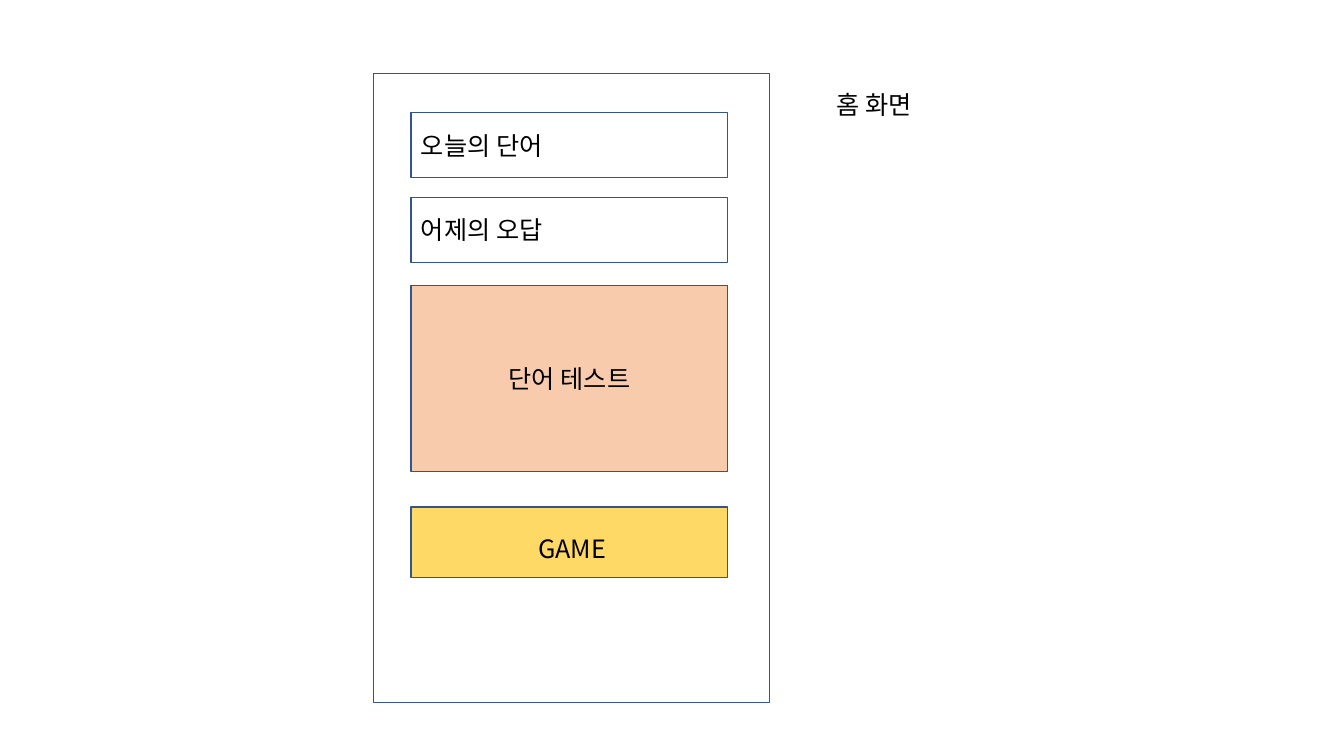
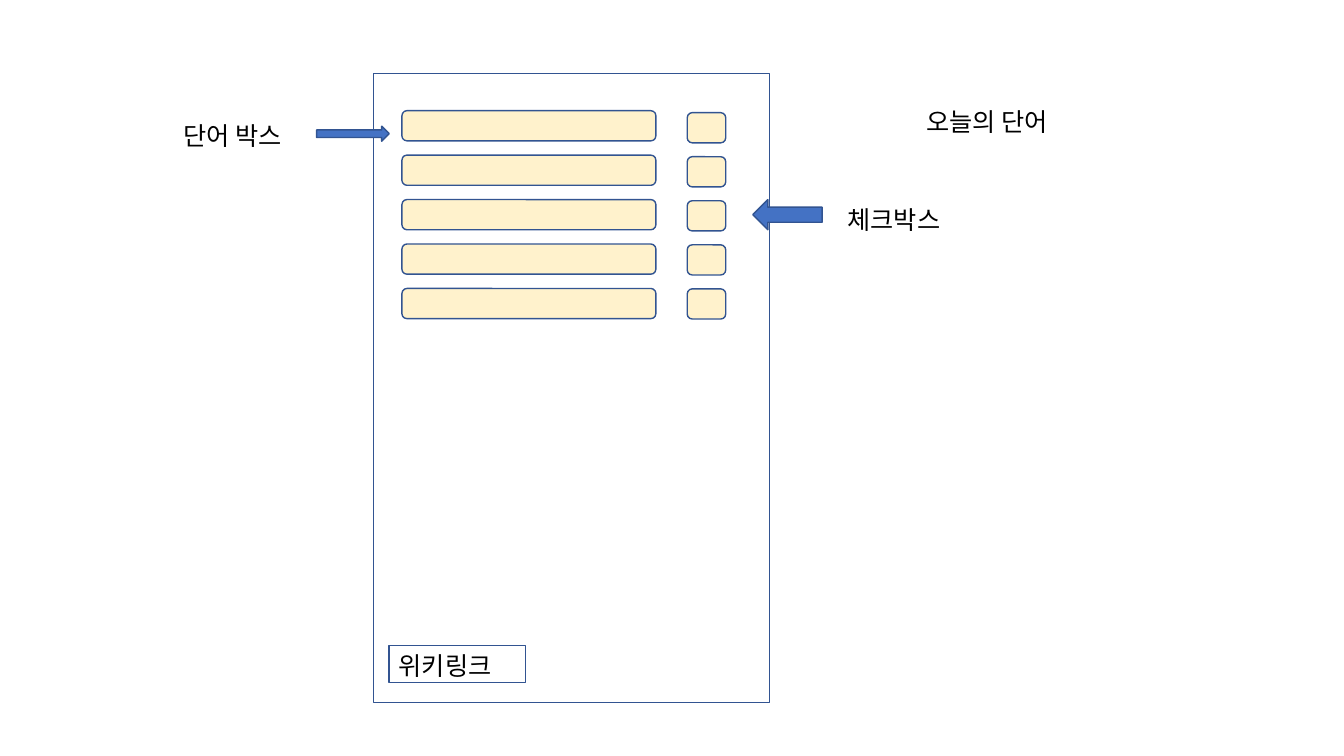
from lxml import etree
from pptx import Presentation
from pptx.dml.color import RGBColor
from pptx.enum.shapes import MSO_SHAPE
from pptx.enum.text import MSO_ANCHOR, MSO_AUTO_SIZE, PP_ALIGN
from pptx.oxml.ns import qn
from pptx.util import Cm, Pt

RECT, ROUNDED, ARROW = MSO_SHAPE.RECTANGLE, MSO_SHAPE.ROUNDED_RECTANGLE, MSO_SHAPE.RIGHT_ARROW
LEFT, CENTER = PP_ALIGN.LEFT, PP_ALIGN.CENTER
TOP, MIDDLE = MSO_ANCHOR.TOP, MSO_ANCHOR.MIDDLE

OUTLINE = RGBColor(0x32, 0x54, 0x91)
BLACK = RGBColor(0, 0, 0)
PEACH = RGBColor(0xF8, 0xCB, 0xAD)
GOLD = RGBColor(0xFF, 0xD9, 0x66)
CREAM = RGBColor(0xFF, 0xF2, 0xCC)
BLUE = RGBColor(0x44, 0x72, 0xC4)

FONT = "Noto Sans CJK KR"
FONT_FORMAT = {"name": FONT, "size": Pt(18), "bold": False}
PHONE = (9.42, 1.85, 9.98, 15.85)
TITLES = {
    "홈 화면": (20.83, 2.13, 9.4, 1.02),
    "오늘의 단어": (23.09, 2.54, 6.91, 1.02),
}


def write(holder, text, align=LEFT, anchor=TOP):
    """Put one line of text in the shared style into a shape."""
    frame = holder.text_frame
    frame_format = {"word_wrap": True, "auto_size": MSO_AUTO_SIZE.NONE, "vertical_anchor": anchor}
    for name, value in frame_format.items():
        setattr(frame, name, value)
    line = frame.paragraphs[0]
    line.alignment, line.line_spacing = align, 1.0
    run = line.add_run()
    run.text = text
    for name, value in FONT_FORMAT.items():
        setattr(run.font, name, value)
    run.font.color.rgb = BLACK
    east_asian = etree.SubElement(run.font._element, qn("a:ea"))
    east_asian.set("typeface", FONT)


def draw(slide, kind, box, fill=None):
    """Add an outlined shape, hollow unless a fill is given."""
    shape = slide.shapes.add_shape(kind, *map(Cm, box))
    shape.shadow.inherit = False
    shape.line.color.rgb, shape.line.width = OUTLINE, Pt(1)
    if fill is None:
        shape.fill.background()
    else:
        shape.fill.solid()
        shape.fill.fore_color.rgb = fill
    return shape


deck = Presentation()
deck.slide_width, deck.slide_height = Cm(33.87), Cm(19.05)

# Both screens: a title beside an empty phone frame
screens = []
for title, box in TITLES.items():
    screen = deck.slides.add_slide(deck.slide_layouts[5])
    heading = screen.shapes.title
    for side, length in zip(("left", "top", "width", "height"), box):
        setattr(heading, side, Cm(length))
    write(heading, title)
    draw(screen, RECT, PHONE)
    screens.append(screen)
home, today = screens

# Home screen
MENU_LEFT, MENU_WIDTH = 10.36, 7.98
for top, height, fill in ((2.84, 1.63, None), (4.98, 1.63, None), (12.78, 1.78, GOLD)):
    draw(home, RECT, (MENU_LEFT, top, MENU_WIDTH, height), fill)
word_test = draw(home, RECT, (MENU_LEFT, 7.19, MENU_WIDTH, 4.7), PEACH)
write(word_test, "단어 테스트", CENTER, MIDDLE)

# Today's words: five word boxes, each with a check box
for row in range(5):
    draw(today, ROUNDED, (10.13, 2.79 + 1.12 * row, 6.4, 0.76), CREAM)
    draw(today, ROUNDED, (17.32, 2.84 + 1.11 * row, 0.97, 0.76), CREAM)
draw(today, ARROW, (7.98, 3.18, 1.83, 0.38), BLUE)
check_arrow = draw(today, ARROW, (18.97, 5.03, 1.75, 0.76), BLUE)
check_arrow.rotation = 180
draw(today, RECT, (9.8, 16.26, 3.45, 0.94))

# Labels of both screens
LABELS = (
    (home, "오늘의 단어", (MENU_LEFT, 3.15, MENU_WIDTH), LEFT),
    (home, "어제의 오답", (MENU_LEFT, 5.28, MENU_WIDTH), LEFT),
    (home, "GAME", (10.72, 13.31, 7.39), CENTER),
    (today, "단어 박스", (4.37, 2.9, 3.61), LEFT),
    (today, "체크박스", (21.11, 5.03, 3.78), LEFT),
    (today, "위키링크", (9.8, 16.26, 3.12), LEFT),
)
for screen, text, place, align in LABELS:
    label = screen.shapes.add_textbox(*map(Cm, place), Cm(1.02))
    write(label, text, align)

deck.save("out.pptx")
